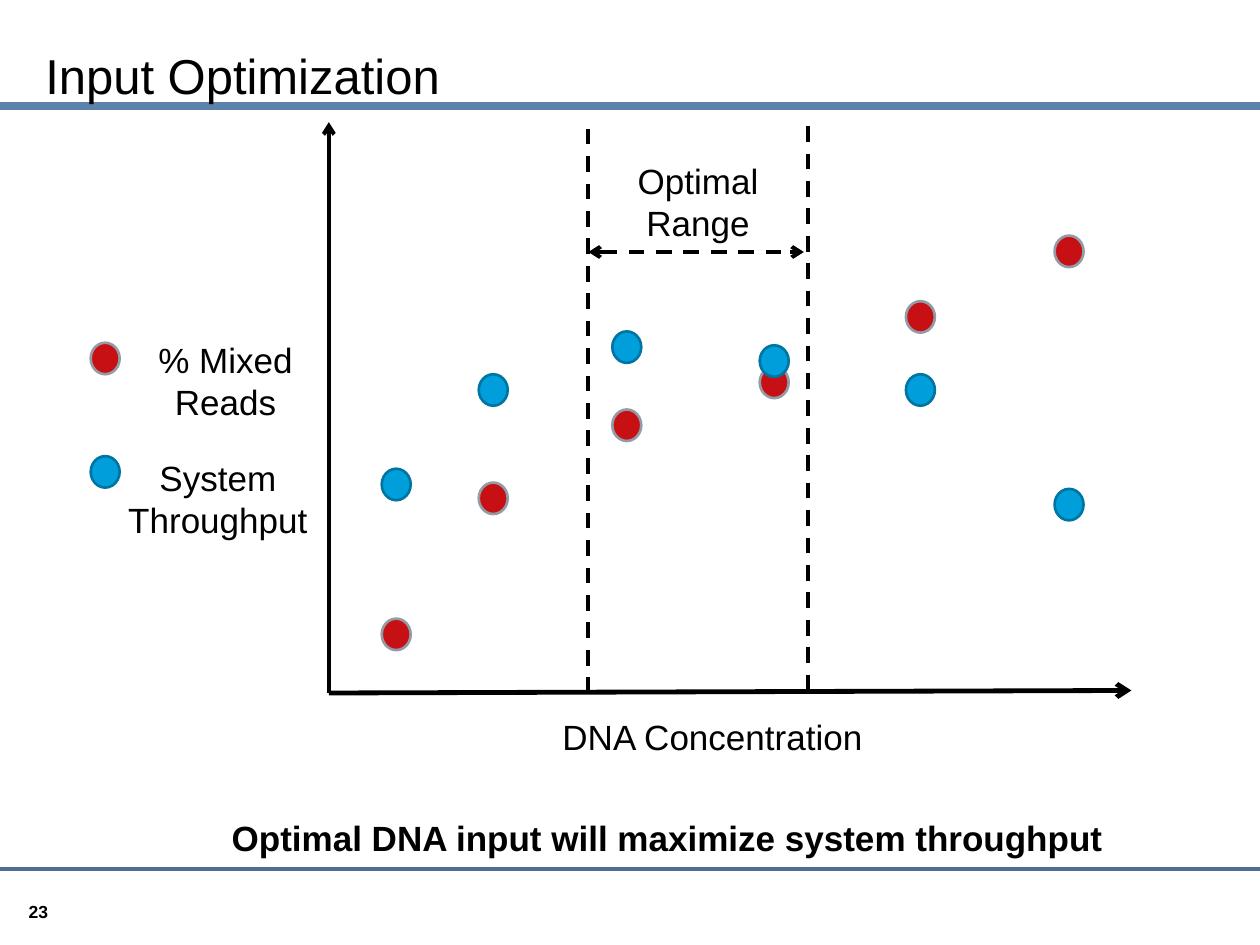
from lxml import etree
from pptx import Presentation
from pptx import util as u
from pptx.dml.color import RGBColor
from pptx.enum import dml, shapes, text
from pptx.oxml.ns import qn

HUES = {
    "ink": "000000", "bar": "5C81AA", "foot": "4F6F92",
    "red": "C71013", "red_edge": "929BA6",
    "blue": "009EDB", "blue_edge": "0075A2",
}
XS = [0.42, 1.19, 2.25, 3.42, 4.58, 5.76]
DOTS = {
    "red": [3.94, 2.86, 2.28, 1.94, 1.42, 0.9],
    "blue": [2.75, 2, 1.66, 1.77, 2, 2.91],
}


def hue(name):
    """Return the named colour."""
    return RGBColor.from_string(HUES[name])


def add_line(slide, start, end, name="ink", width=2.25, dash=False, ends=()):
    """Draw a straight line, dashed or with arrowheads if asked."""
    line = slide.shapes.add_connector(
        shapes.MSO_CONNECTOR.STRAIGHT,
        *(u.Inches(value) for value in (*start, *end)))
    line.line.color.rgb = hue(name)
    line.line.width = u.Pt(width)
    if dash:
        line.line.dash_style = dml.MSO_LINE.DASH
    pen = line.line._get_or_add_ln()
    for tag in ends:
        etree.SubElement(pen, qn(f"a:{tag}"), type="arrow")
    etree.SubElement(line.element.spPr, qn("a:effectLst"))


def set_font(para, size, bold=False):
    """Set the typeface, size and colour of a paragraph."""
    para.font.name = "Arial"
    para.font.size = u.Pt(size)
    para.font.bold = bold
    para.font.color.rgb = hue("ink")


def add_text(slide, box, words, size=20, bold=False,
             align=text.PP_ALIGN.CENTER, anchor=text.MSO_ANCHOR.TOP):
    """Place one wrapped paragraph in a box."""
    frame = slide.shapes.add_textbox(*(u.Inches(v) for v in box)).text_frame
    frame.word_wrap = True
    frame.vertical_anchor = anchor
    para = frame.paragraphs[0]
    para.text = words
    para.alignment = align
    set_font(para, size, bold)


def add_dot(slide, left, top, name):
    """Draw one data marker."""
    dot = slide.shapes.add_shape(
        shapes.MSO_SHAPE.OVAL, u.Inches(left), u.Inches(top),
        u.Inches(0.23), u.Inches(0.25))
    dot.shadow.inherit = False
    dot.fill.solid()
    dot.fill.fore_color.rgb = hue(name)
    dot.line.color.rgb = hue(f"{name}_edge")
    dot.line.width = u.Pt(1.5)


def add_frame(slide, width):
    """Draw the rules, the page number and the message above the foot."""
    add_line(slide, (width, 0.84), (0, 0.84), "bar", 4.5)
    add_line(slide, (0, 6.9), (width, 6.9), "foot")
    add_text(slide, (0.13, 6.98, 1.43, 0.39), "23", 10, True,
             text.PP_ALIGN.LEFT, text.MSO_ANCHOR.BOTTOM)
    add_text(slide, (1.74, 6.43, 7.41, 0.44),
             "Optimal DNA input will maximize system throughput", 20, True,
             text.PP_ALIGN.LEFT)


def add_title(slide, box, words):
    """Fill the title and bring it in front of the rule."""
    title = slide.shapes.title
    title.left, title.top, title.width, title.height = map(u.Inches, box)
    frame = title.text_frame
    frame.word_wrap = True
    frame.vertical_anchor = text.MSO_ANCHOR.MIDDLE
    frame.margin_left = frame.margin_right = u.Inches(0.05)
    frame.margin_top = frame.margin_bottom = u.Inches(0.05)
    para = frame.paragraphs[0]
    para.text = words
    para.alignment = text.PP_ALIGN.LEFT
    para.line_spacing = 0.95
    set_font(para, 28)
    title.element.getparent().append(title.element)


def add_key(slide, left, top):
    """Draw the legend from its top left corner."""
    add_dot(slide, left, top + 0.08, "red")
    add_text(slide, (left + 0.37, top, 1.4, 0.77), "% Mixed Reads")
    add_dot(slide, left, top + 0.98, "blue")
    add_text(slide, (left + 0.13, top + 0.93, 1.76, 0.77), "System Throughput")


def add_plot(slide, left, top, width, height):
    """Draw the axes, the optimal range and the markers in a box."""
    base = top + height
    add_line(slide, (left, base), (left, top), ends=["tailEnd"])
    add_line(slide, (left, base), (left + width, base - 0.02), width=2.75,
             ends=["tailEnd"])
    low, high = left + 2.06, left + 3.8
    add_line(slide, (low, base), (low, top), dash=True)
    add_line(slide, (high, base - 0.02), (high, top - 0.02), dash=True)
    add_line(slide, (low, top + 1.03), (high - 0.03, top + 1.03), dash=True,
             ends=["headEnd", "tailEnd"])
    add_text(slide, (low + 0.17, top + 0.25, 1.4, 0.77), "Optimal Range")
    add_text(slide, (left + 1.65, base + 0.13, 2.79, 0.44),
             "DNA Concentration")
    for name, drops in DOTS.items():
        for x, drop in zip(XS, drops):
            add_dot(slide, left + x, top + drop, name)


def main():
    """Build and save the slide."""
    deck = Presentation()
    deck.slide_width, deck.slide_height = u.Inches(10), u.Inches(7.5)
    slide = deck.slides.add_slide(deck.slide_layouts[5])
    add_frame(slide, 10)
    add_key(slide, 0.72, 2.64)
    add_plot(slide, 2.61, 0.97, 6.37, 4.53)
    add_title(slide, (0.31, 0.16, 9.35, 0.91), "Input Optimization")
    deck.save("out.pptx")


if __name__ == "__main__":
    main()
